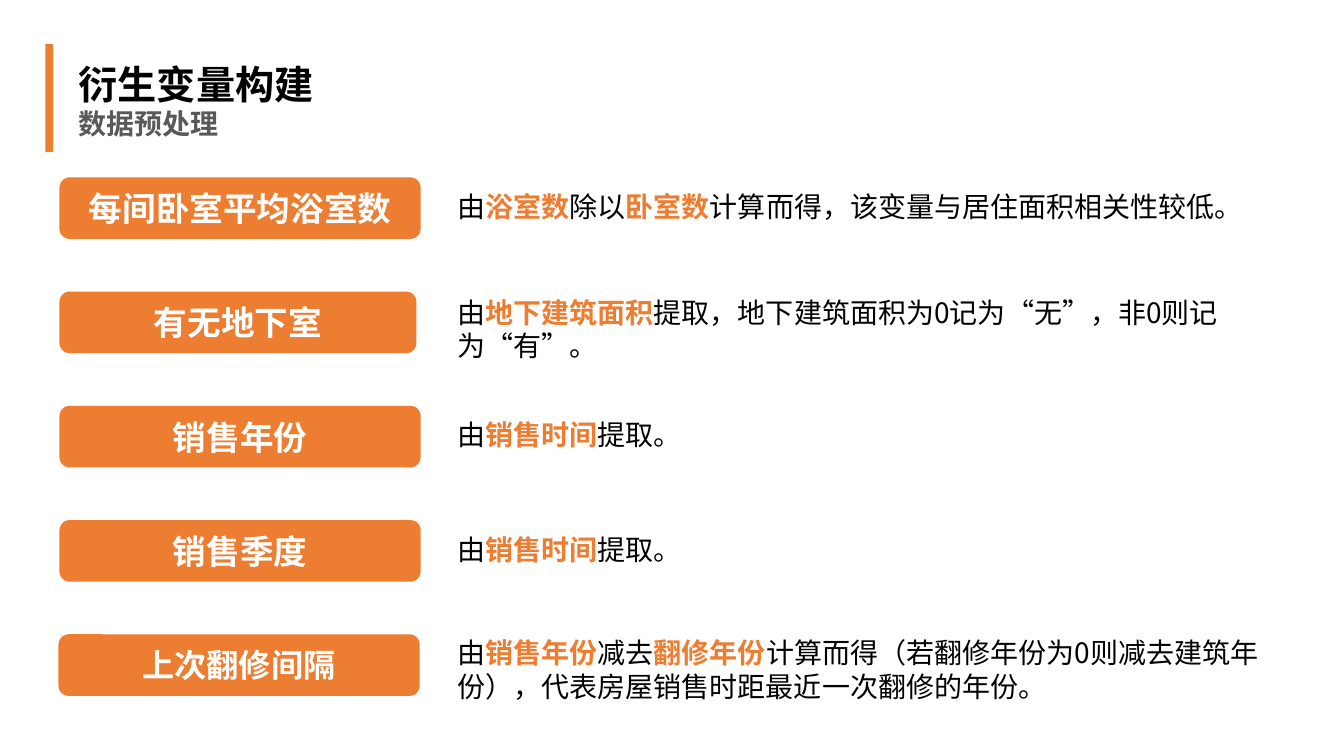
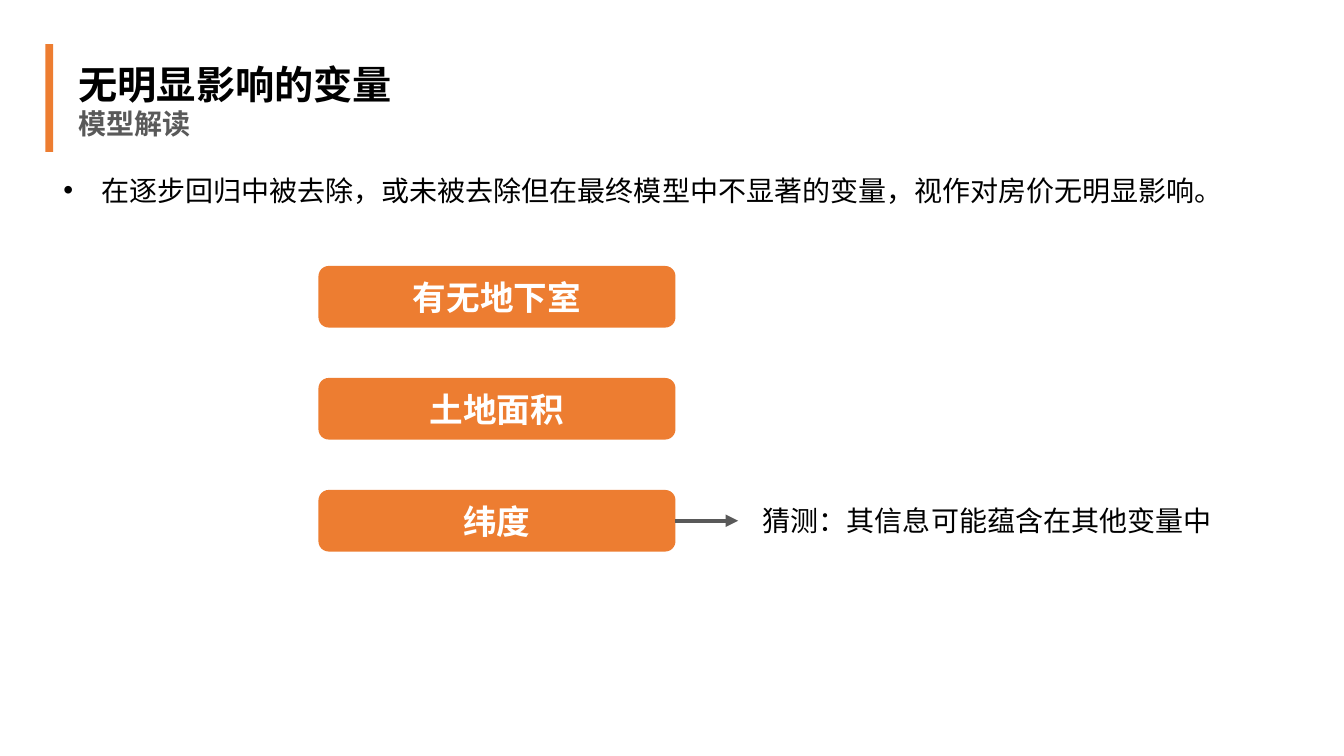
from dataclasses import dataclass

from lxml import etree
from pptx import Presentation
from pptx import util as u
from pptx.dml.color import RGBColor
from pptx.enum import lang, shapes, text
from pptx.oxml.ns import qn

Pt = u.Pt
FONT = "Noto Sans CJK SC"
COLORS = {
    "accent": "ED7D31",
    "dark": "000000",
    "muted": "595959",
    "light": "FFFFFF",
}
TITLE_ONLY, TITLE_AND_BODY = 5, 1
TAG_H = 44


@dataclass
class Box:
    left: float
    top: float
    width: float
    height: float

    def lengths(self) -> list:
        return [Pt(v) for v in (self.left, self.top, self.width, self.height)]


@dataclass
class Variable:
    name: str
    phrases: list[str]  # every second phrase is highlighted
    text_shift: float = 5  # text top, relative to the tag top
    text_w: float = 514
    text_h: float = 32
    left: float = 42.5
    width: float = 258
    size: float = 24


VARIABLES = [
    Variable("每间卧室平均浴室数",
             ["由", "浴室数", "除以", "卧室数", "计算而得，该变量与居住面积相关性较低。"],
             text_w=626),
    Variable("有无地下室",
             ["由", "地下建筑面积", "提取，地下建筑面积为0记为“无”，非0则记为“有”。"],
             text_shift=-1, text_w=626, text_h=55.5, width=255),
    Variable("销售年份", ["由", "销售时间", "提取。"]),
    Variable("销售季度", ["由", "销售时间", "提取。"]),
    Variable("上次翻修间隔",
             ["由", "销售年份", "减去", "翻修年份",
              "计算而得（若翻修年份为0则减去建筑年份），代表房屋销售时距最近一次翻修的年份。"],
             text_shift=-2.5, text_w=612, text_h=55.5, left=41.8, size=23),
]
WEAK_VARIABLES = ["有无地下室", "土地面积", "纬度"]


# Text helpers
def style_run(r, size: float, color: str, bold: bool = False) -> None:
    r.font.size, r.font.bold, r.font.name = Pt(size), bold, FONT
    r.font.color.rgb = RGBColor.from_string(COLORS[color])
    r.font.language_id = lang.MSO_LANGUAGE_ID.SIMPLIFIED_CHINESE
    etree.SubElement(r._r.get_or_add_rPr(), qn("a:ea"), typeface=FONT)


def fill_text(sp, phrases: list[str], size: float, color: str = "dark",
              bold: bool = False, align=text.PP_ALIGN.LEFT,
              anchor=text.MSO_ANCHOR.TOP, spacing: float = 1.0):
    tf = sp.text_frame
    tf.word_wrap, tf.auto_size = True, text.MSO_AUTO_SIZE.NONE
    tf.vertical_anchor = anchor
    p = tf.paragraphs[0]
    p.alignment, p.line_spacing, p.space_before = align, spacing, Pt(0)
    for i, phrase in enumerate(phrases):
        r = p.add_run()
        r.text = phrase
        if i % 2:
            style_run(r, size, "accent", True)
        else:
            style_run(r, size, color, bold)
    return p


def place(sp, box: Box) -> None:
    sp.left, sp.top, sp.width, sp.height = box.lengths()


# Shape helpers
def add_text(s, box: Box, phrases: list[str], size: float = 20, **style) -> None:
    fill_text(s.shapes.add_textbox(*box.lengths()), phrases, size, **style)


def add_block(s, kind, box: Box):
    sp = s.shapes.add_shape(kind, *box.lengths())
    sp.shadow.inherit = False
    sp.fill.solid()
    sp.fill.fore_color.rgb = RGBColor.from_string(COLORS["accent"])
    sp.line.fill.background()
    return sp


def add_tag(s, box: Box, name: str, size: float = 24):
    sp = add_block(s, shapes.MSO_SHAPE.ROUNDED_RECTANGLE, box)
    fill_text(sp, [name], size, "light", True,
              text.PP_ALIGN.CENTER, text.MSO_ANCHOR.MIDDLE)
    return sp


def add_arrow(s, source, end_x: float) -> None:
    y = source.top + source.height // 2
    c = s.shapes.add_connector(shapes.MSO_CONNECTOR.STRAIGHT,
                               source.left + source.width, y, Pt(end_x), y)
    c.begin_connect(source, 3)
    c.line.width = Pt(3)
    c.line.color.rgb = RGBColor.from_string(COLORS["muted"])
    spPr = c._element.spPr
    etree.SubElement(spPr.find(qn("a:ln")), qn("a:tailEnd"), type="triangle")
    etree.SubElement(spPr, qn("a:effectLst"))


def add_bullet(p, indent: float) -> None:
    pPr = p._p.get_or_add_pPr()
    pPr.set("marL", str(int(Pt(indent))))
    pPr.set("indent", str(-int(Pt(indent))))
    etree.SubElement(pPr, qn("a:buFont"), typeface="Arial")
    etree.SubElement(pPr, qn("a:buChar"), char="•")


# Slide header shared by all slides
def new_slide(prs, layout: int, title: str, section: str):
    s = prs.slides.add_slide(prs.slide_layouts[layout])
    place(s.shapes.title, Box(49, 22.3, 355, 52))
    fill_text(s.shapes.title, [title], 28, bold=True, spacing=1.5)
    add_text(s, Box(49, 72.7, 271, 31.5), [section], color="muted", bold=True)
    add_block(s, shapes.MSO_SHAPE.RECTANGLE, Box(32.5, 31.5, 5.5, 77))
    return s


# Derived variables: tag on the left, explanation on the right
def build_derived(prs) -> None:
    s = new_slide(prs, TITLE_ONLY, "衍生变量构建", "数据预处理")
    for i, v in enumerate(VARIABLES):
        top = 126.7 + i * 81.6
        add_tag(s, Box(v.left, top, v.width, TAG_H), v.name, v.size)
        add_text(s, Box(319.7, top + v.text_shift, v.text_w, v.text_h), v.phrases)


# Variables without clear influence: bullet, tags and a remark
def build_weak(prs) -> None:
    s = new_slide(prs, TITLE_AND_BODY, "无明显影响的变量", "模型解读")
    body = s.placeholders[1]
    place(body, Box(38, 108, 851, 38))
    p = fill_text(
        body,
        ["在逐步回归中被去除，或未被去除但在最终模型中不显著的变量，视作对房价无明显影响。"],
        20, spacing=1.5)
    add_bullet(p, 27)

    tags = [add_tag(s, Box(227.5, 190 + i * 80, 255, TAG_H), name)
            for i, name in enumerate(WEAK_VARIABLES)]
    add_arrow(s, tags[-1], 527.3)
    add_text(s, Box(537.8, 356.2, 343.5, 31.5), ["猜测：其信息可能蕴含在其他变量中"])


def main() -> None:
    prs = Presentation()
    prs.slide_width, prs.slide_height = Pt(960), Pt(540)
    build_derived(prs)
    build_weak(prs)
    prs.save("out.pptx")


if __name__ == "__main__":
    main()
